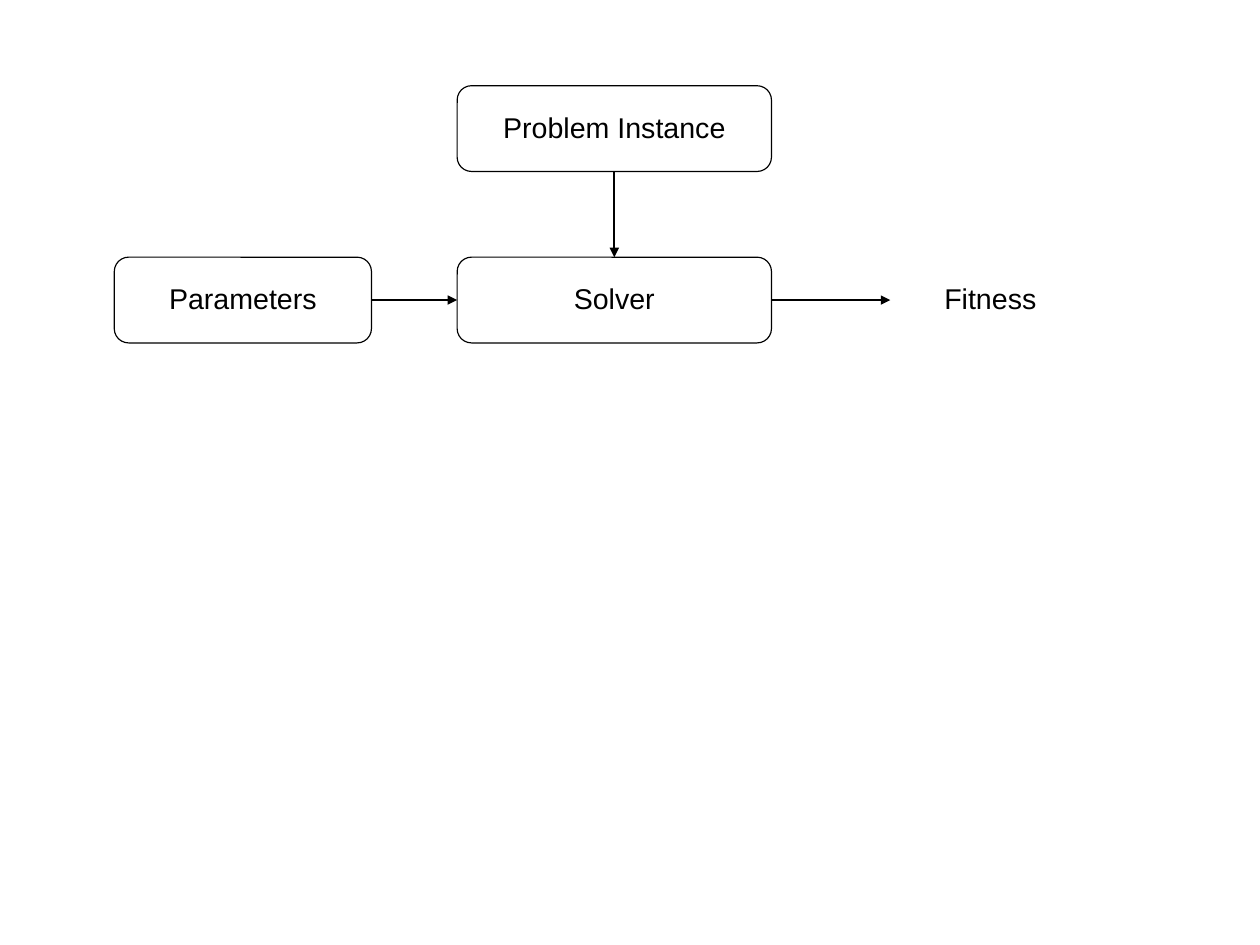
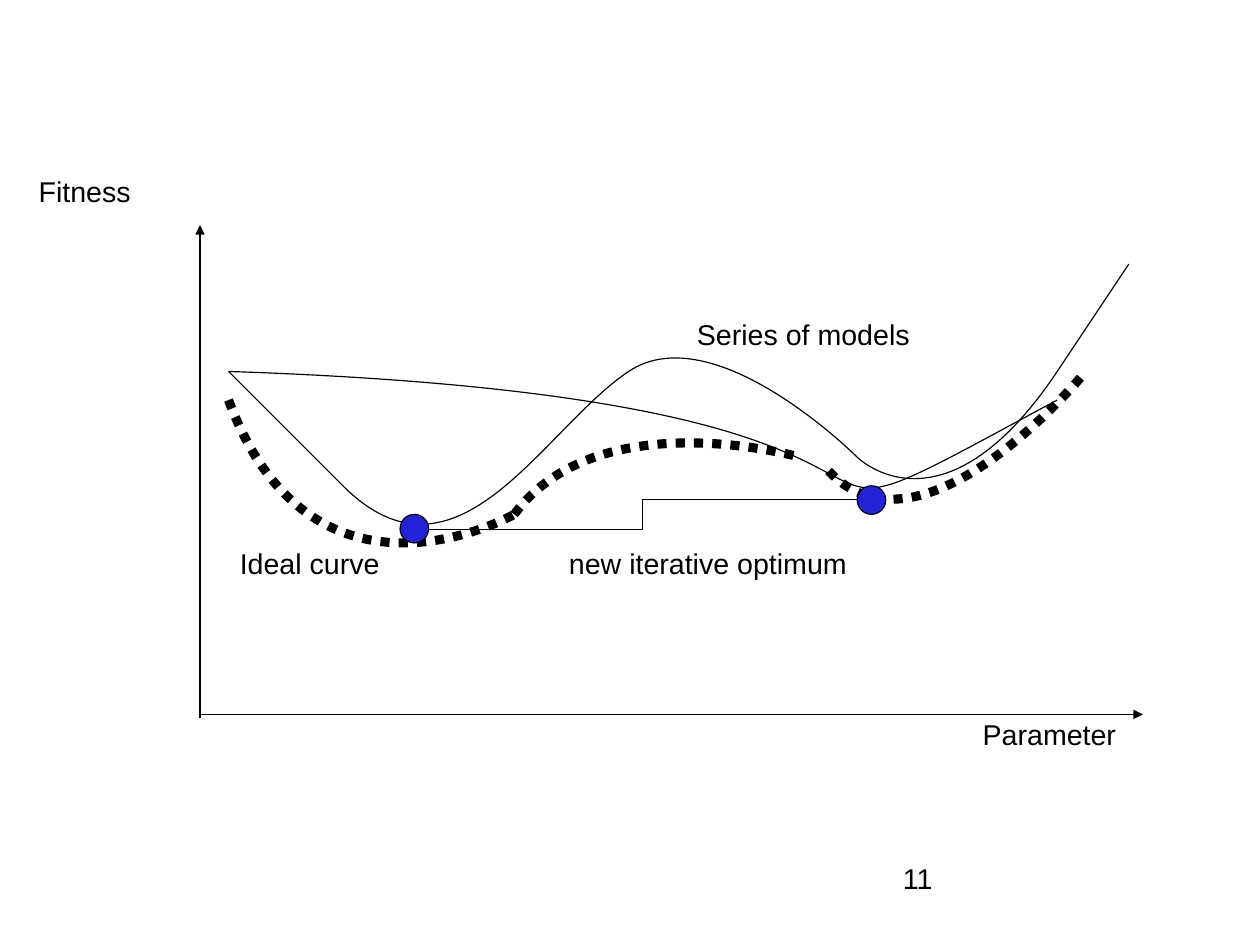
from lxml import etree
from pptx import Presentation
from pptx.dml.color import RGBColor
from pptx.enum.dml import MSO_LINE
from pptx.enum.shapes import MSO_CONNECTOR, MSO_SHAPE
from pptx.enum.text import MSO_ANCHOR, PP_ALIGN
from pptx.oxml.ns import qn
from pptx.util import Pt

PX = 9144  # EMU per px, 100 px to the inch
SLIDE_W, SLIDE_H = 10080625, 7559675  # EMU, 28 by 21 cm
BLACK, BLUE = "000000", "2323DC"
THIN, ARROW, THICK = 0.75, 1.45, 5.75
TOP, LEFT, BOTTOM, RIGHT = range(4)
STRAIGHT, ELBOW = MSO_CONNECTOR.STRAIGHT, MSO_CONNECTOR.ELBOW
ROUNDED, OVAL = MSO_SHAPE.ROUNDED_RECTANGLE, MSO_SHAPE.OVAL
DOTTED = MSO_LINE.ROUND_DOT
MIDDLE = MSO_ANCHOR.MIDDLE
ALIGN_LEFT, CENTER = PP_ALIGN.LEFT, PP_ALIGN.CENTER


def write(tf, text, align=ALIGN_LEFT):
    tf.word_wrap = True
    p = tf.paragraphs[0]
    p.alignment, p.line_spacing = align, 0.93
    r = p.add_run()
    r.text = text
    r.font.name, r.font.size = "Arial", Pt(18)
    r.font.color.rgb = RGBColor.from_string(BLACK)


def stroke(s, width, arrow=False):
    """Give a shape or connector a black line and no shadow."""
    s.line.color.rgb = RGBColor.from_string(BLACK)
    s.line.width = Pt(width)
    sppr = s._element.spPr
    if arrow:
        etree.SubElement(sppr.find(qn("a:ln")), qn("a:tailEnd"), type="triangle")
    etree.SubElement(sppr, qn("a:effectLst"))


prs = Presentation()
prs.slide_width, prs.slide_height = SLIDE_W, SLIDE_H
blank = prs.slide_layouts[6]

# Slide 1: solver diagram
shapes = prs.slides.add_slide(blank).shapes
boxes = {}
for name, x, y, w in [
    ("Problem Instance", 400, 75, 275),
    ("Solver", 400, 225, 275),
    ("Parameters", 100, 225, 225),
    ("Fitness", 779, 225, 175),
]:
    s = shapes.add_shape(ROUNDED, x * PX, y * PX, w * PX, 75 * PX)
    s.fill.background()
    if name == "Fitness":
        s.line.fill.background()
        s.shadow.inherit = False
    else:
        stroke(s, THIN)
    s.text_frame.vertical_anchor = MIDDLE
    write(s.text_frame, name, CENTER)
    boxes[name] = s

for start, out, end, into in [
    ("Parameters", RIGHT, "Solver", LEFT),
    ("Solver", RIGHT, "Fitness", LEFT),
    ("Problem Instance", BOTTOM, "Solver", TOP),
]:
    s = shapes.add_connector(STRAIGHT, 0, 0, 0, 0)
    s.begin_connect(boxes[start], out)
    s.end_connect(boxes[end], into)
    stroke(s, ARROW, arrow=True)

# Slide 2: fitness curves
shapes = prs.slides.add_slide(blank).shapes
for axis in [(175, 625, 1000, 625), (175, 628, 175, 197)]:
    s = shapes.add_connector(STRAIGHT, *[v * PX for v in axis])
    stroke(s, THIN, arrow=True)

# A segment of one point is a line, one of three points a Bézier curve
ideal_curve = [
    ((200, 350), [[(274, 550), (450, 450), (450, 450)]]),
    ((725, 412), [[(807, 500), (950, 325), (950, 325)]]),
    ((450, 450), [[(524, 350), (700, 400), (700, 400)]]),
]
models = [
    ((200, 325), [[(950, 350), (600, 525), (925, 350)]]),
    ((200, 325), [
        [(300, 425)],
        [(400, 525), (475, 375), (550, 325)],
        [(625, 275), (750, 400), (750, 400)],
        [(750, 400), (825, 475), (925, 325)],
        [(1025, 175), (975, 250), (975, 250)],
    ]),
]
for start, segments in ideal_curve + models:
    builder = shapes.build_freeform(*start, scale=PX)
    builder.add_line_segments([pt for seg in segments for pt in seg], close=False)
    s = builder.convert_to_shape()
    lines = iter(list(s._element.iter(qn("a:lnTo"))))
    for segment in segments:
        group = [next(lines) for _ in segment]
        if len(group) == 3:
            curve = etree.Element(qn("a:cubicBezTo"))
            group[0].addprevious(curve)
            for line in group:
                curve.append(line[0])
                line.getparent().remove(line)
    s.fill.background()
    if (start, segments) in ideal_curve:
        stroke(s, THICK)
        s.line.dash_style = DOTTED
    else:
        stroke(s, THIN)

for x, y in [(750, 425), (350, 450)]:
    s = shapes.add_shape(OVAL, x * PX, y * PX, 25 * PX, 25 * PX)
    s.fill.solid()
    s.fill.fore_color.rgb = RGBColor.from_string(BLUE)
    stroke(s, THIN)

s = shapes.add_connector(ELBOW, *[v * PX for v in (375, 463, 750, 437)])
stroke(s, THIN)

for text, x, y, w in [
    ("Fitness", 24, 150, 226),
    ("Parameter", 850, 625, 160),
    ("Ideal curve", 200, 475, 160),
    ("Series of models", 600, 275, 230),
    ("new iterative optimum", 488, 475, 290),
]:
    s = shapes.add_textbox(x * PX, y * PX, w * PX, 38 * PX)
    write(s.text_frame, text)

page = shapes.add_textbox(790 * PX, 756 * PX, 255 * PX, 55 * PX)
tf = page.text_frame
tf.margin_left = tf.margin_top = tf.margin_right = tf.margin_bottom = 0
write(tf, "11")

prs.save("out.pptx")
